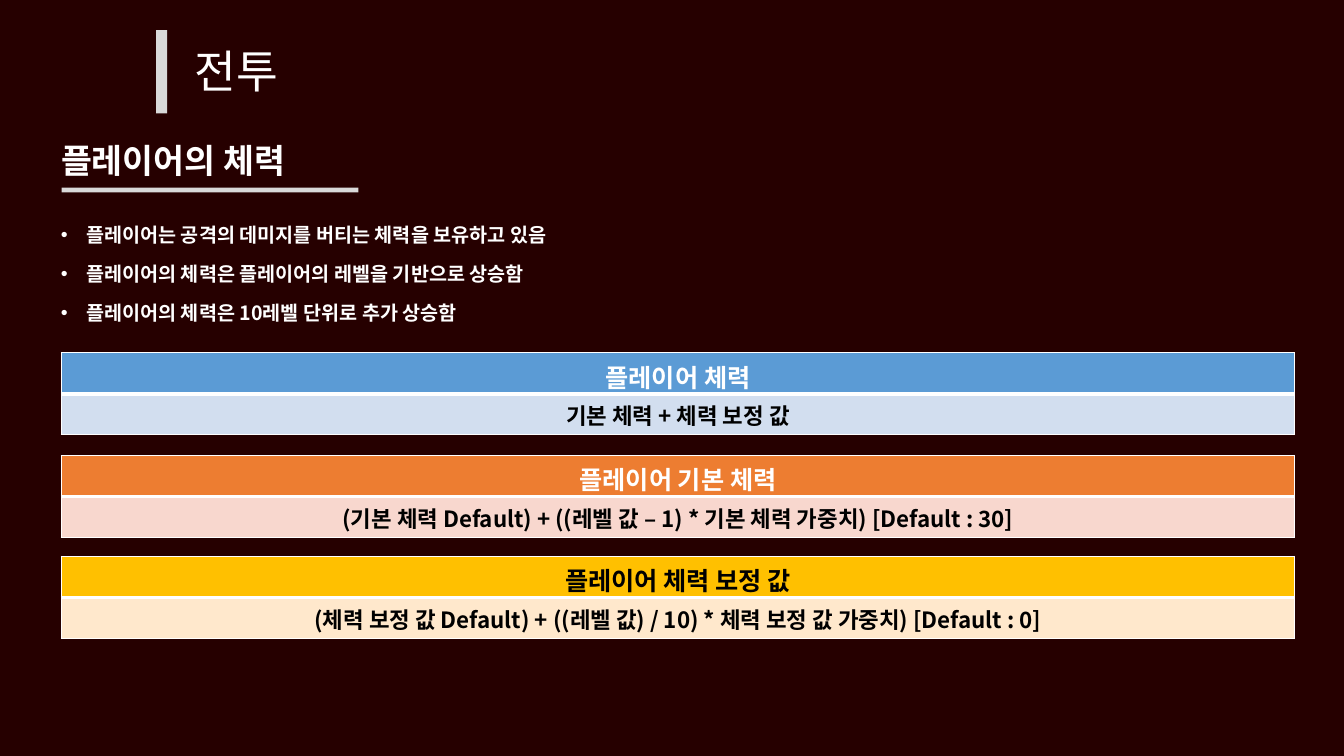
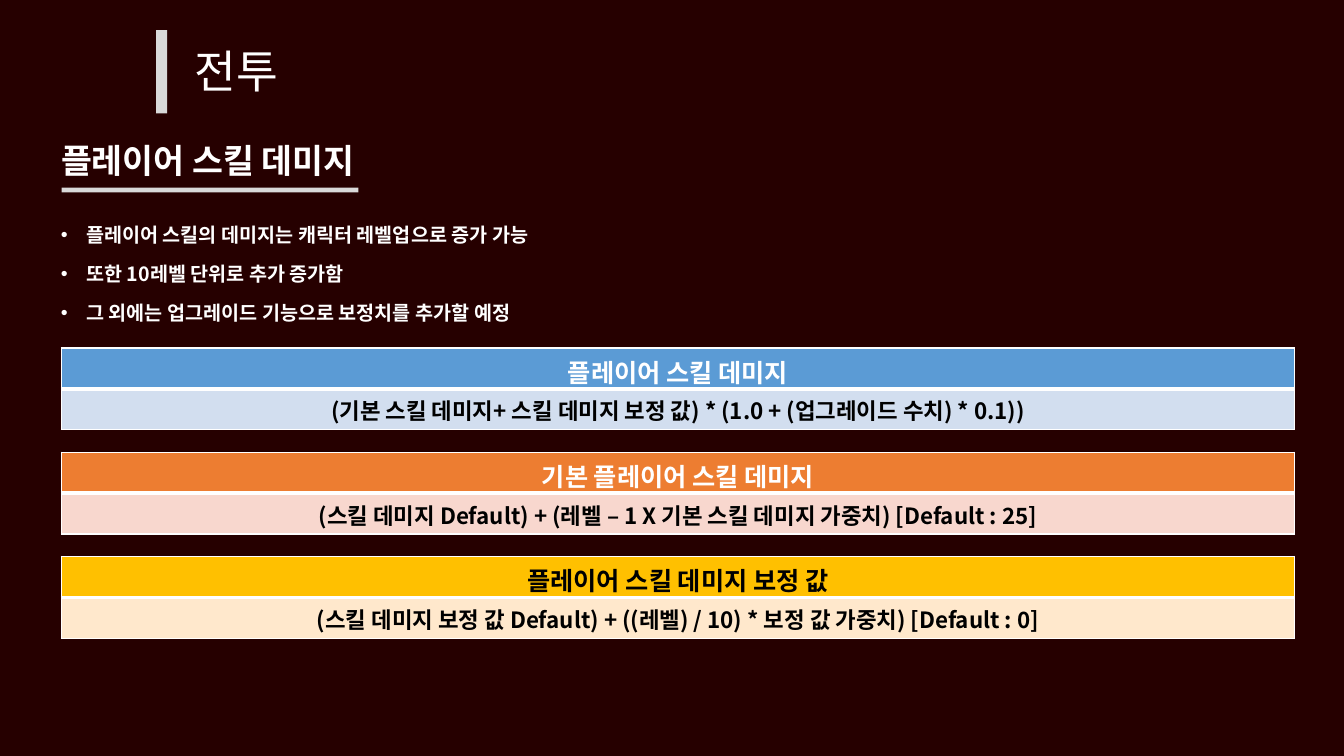
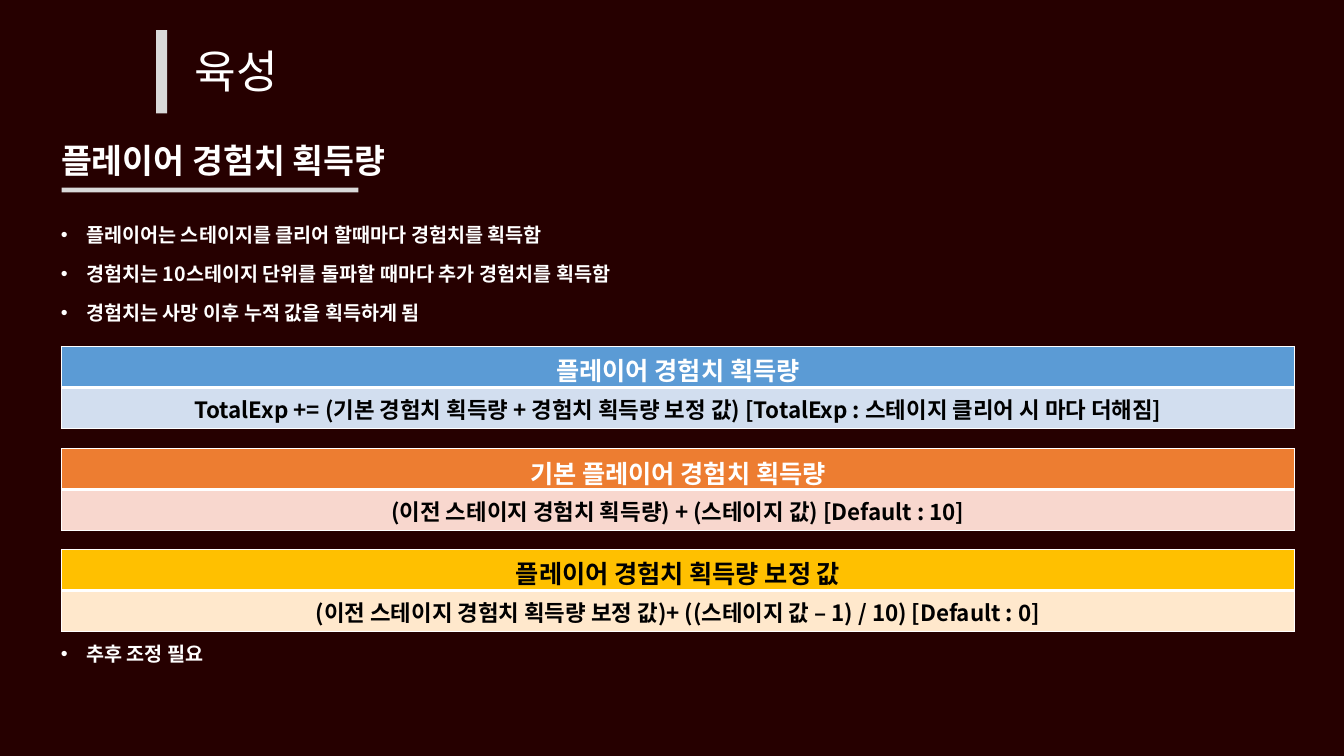
"""Build three slides of combat and growth formulas."""
from lxml import etree
from pptx import Presentation
from pptx.dml.color import RGBColor
from pptx.enum.shapes import MSO_SHAPE
from pptx.enum.text import MSO_ANCHOR, PP_ALIGN
from pptx.oxml.ns import qn
from pptx.util import Pt

RECT = MSO_SHAPE.RECTANGLE
TOP, MIDDLE = MSO_ANCHOR.TOP, MSO_ANCHOR.MIDDLE
CENTER = PP_ALIGN.CENTER
FONT = "Noto Sans CJK KR"
DARK = RGBColor(0x26, 0x00, 0x00)
GRAY = RGBColor(0xD9, 0xD9, 0xD9)
WHITE = RGBColor(0xFF, 0xFF, 0xFF)
BLACK = RGBColor(0x00, 0x00, 0x00)
BLUE, PALE_BLUE = RGBColor(0x5B, 0x9B, 0xD5), RGBColor(0xD2, 0xDE, 0xEF)
ORANGE, PALE_ORANGE = RGBColor(0xED, 0x7D, 0x31), RGBColor(0xF8, 0xD7, 0xCE)
GOLD, PALE_GOLD = RGBColor(0xFF, 0xC0, 0x00), RGBColor(0xFF, 0xE8, 0xCC)

STYLES = [
    (BLUE, WHITE, PALE_BLUE),
    (ORANGE, WHITE, PALE_ORANGE),
    (GOLD, BLACK, PALE_GOLD),
]
LEFT, WIDTH, ROW = 44, 880.5, 29.2
GAP, FAR_GAP = 14, 229.5

SLIDES = [
    {
        "title": "전투",
        "topic": "플레이어의 체력",
        "points": [
            "플레이어는 공격의 데미지를 버티는 체력을 보유하고 있음",
            "플레이어의 체력은 플레이어의 레벨을 기반으로 상승함",
            "플레이어의 체력은 10레벨 단위로 추가 상승함",
        ],
        "tops": (252, 325.5, 397.5),
        "tables": [
            ("플레이어 체력", "기본 체력 + 체력 보정 값"),
            ("플레이어 기본 체력",
             "(기본 체력 Default) + ((레벨 값 – 1) * 기본 체력 가중치) [Default : 30]"),
            ("플레이어 체력 보정 값",
             "(체력 보정 값 Default) + ((레벨 값) / 10) * 체력 보정 값 가중치) [Default : 0]"),
        ],
    },
    {
        "title": "전투",
        "topic": "플레이어 스킬 데미지",
        "points": [
            "플레이어 스킬의 데미지는 캐릭터 레벨업으로 증가 가능",
            "또한 10레벨 단위로 추가 증가함",
            "그 외에는 업그레이드 기능으로 보정치를 추가할 예정",
        ],
        "tops": (248.5, 323, 397.5),
        "tables": [
            ("플레이어 스킬 데미지",
             "(기본 스킬 데미지+ 스킬 데미지 보정 값) * (1.0 + (업그레이드 수치) * 0.1))"),
            ("기본 플레이어 스킬 데미지",
             "(스킬 데미지 Default) + (레벨 – 1 X 기본 스킬 데미지 가중치) [Default : 25]"),
            ("플레이어 스킬 데미지 보정 값",
             "(스킬 데미지 보정 값 Default) + ((레벨) / 10) * 보정 값 가중치) [Default : 0]"),
        ],
    },
    {
        "title": "육성",
        "topic": "플레이어 경험치 획득량",
        "points": [
            "플레이어는 스테이지를 클리어 할때마다 경험치를 획득함",
            "경험치는 10스테이지 단위를 돌파할 때마다 추가 경험치를 획득함",
            "경험치는 사망 이후 누적 값을 획득하게 됨",
            "추후 조정 필요",
        ],
        "tops": (247.5, 320.5, 392.5),
        "tables": [
            ("플레이어 경험치 획득량",
             "TotalExp += (기본 경험치 획득량 + 경험치 획득량 보정 값) "
             "[TotalExp : 스테이지 클리어 시 마다 더해짐]"),
            ("기본 플레이어 경험치 획득량",
             "(이전 스테이지 경험치 획득량) + (스테이지 값) [Default : 10]"),
            ("플레이어 경험치 획득량 보정 값",
             "(이전 스테이지 경험치 획득량 보정 값)+ ((스테이지 값 – 1) / 10) [Default : 0]"),
        ],
    },
]


def style(para, size, color, bold=True):
    """Format every run, for Latin and Korean letters alike."""
    for run in para.runs:
        font = run.font
        font.name, font.size, font.bold = FONT, Pt(size), bold
        font.color.rgb = color
        etree.SubElement(run._r.get_or_add_rPr(), qn("a:ea"), typeface=FONT)


def add_bar(slide, *box):
    """Add a plain gray bar."""
    bar = slide.shapes.add_shape(RECT, *map(Pt, box))
    bar.shadow.inherit = False
    bar.fill.solid()
    bar.fill.fore_color.rgb = GRAY
    bar.line.fill.background()


def add_text(slide, box, lines, size, bold=True, space=1.0, anchor=TOP):
    """Add a white text box and return its paragraphs."""
    frame = slide.shapes.add_textbox(*map(Pt, box)).text_frame
    frame.word_wrap = True
    frame.vertical_anchor = anchor
    frame.text = "\n".join(lines)
    for para in frame.paragraphs:
        para.line_spacing = space
        style(para, size, WHITE, bold)
    return frame.paragraphs


def add_points(slide, lines):
    """Add the bullet list, with a fourth point below the tables."""
    paras = add_text(slide, (36.5, 158.5, 888.5, 340), lines, 14, space=0.83)
    for num, para in enumerate(paras):
        props = para._p.get_or_add_pPr()
        props.set("marL", str(Pt(18)))
        props.set("indent", str(Pt(-18)))
        if num:
            para.space_before = Pt(FAR_GAP if num == 3 else GAP)
        etree.SubElement(props, qn("a:buFont"), typeface="Arial")
        etree.SubElement(props, qn("a:buChar"), char="•")


def set_edges(cell, base):
    """Draw white cell borders, with the given width at the base."""
    props = cell._tc.get_or_add_tcPr()
    for num, (side, width) in enumerate(zip("LRTB", (1, 1, 1, base))):
        line = etree.Element(qn("a:ln" + side), w=str(Pt(width)))
        fill = etree.SubElement(line, qn("a:solidFill"))
        etree.SubElement(fill, qn("a:srgbClr"), val=str(WHITE))
        props.insert(num, line)


def add_rule(slide, top, texts, colors):
    """Add a table with a heading row over a formula row."""
    head, ink, pale = colors
    box = map(Pt, (LEFT, top, WIDTH, 2 * ROW))
    table = slide.shapes.add_table(2, 1, *box).table
    looks = ((18, ink, head, 3), (16, BLACK, pale, 1))
    for row, (text, look) in enumerate(zip(texts, looks)):
        size, color, back, base = look
        cell = table.cell(row, 0)
        cell.text_frame.text = text
        para = cell.text_frame.paragraphs[0]
        para.alignment = CENTER
        style(para, size, color)
        cell.fill.solid()
        cell.fill.fore_color.rgb = back
        set_edges(cell, base)


def main():
    """Build and save the deck."""
    deck = Presentation()
    deck.slide_width, deck.slide_height = Pt(960), Pt(540)
    back = deck.slide_master.background.fill
    back.solid()
    back.fore_color.rgb = DARK
    for data in SLIDES:
        slide = deck.slides.add_slide(deck.slide_layouts[6])
        add_bar(slide, 111.5, 21.5, 8, 59.5)
        add_bar(slide, LEFT, 134, 212, 3.5)
        add_text(slide, (132, 31, 308, 44), [data["title"]], 32.4,
                 bold=False, space=0.9, anchor=MIDDLE)
        add_text(slide, (36.5, 101.5, 815, 36), [data["topic"]], 24, space=0.82)
        add_points(slide, data["points"])
        for rule in zip(data["tops"], data["tables"], STYLES):
            add_rule(slide, *rule)
    deck.save("out.pptx")


if __name__ == "__main__":
    main()
